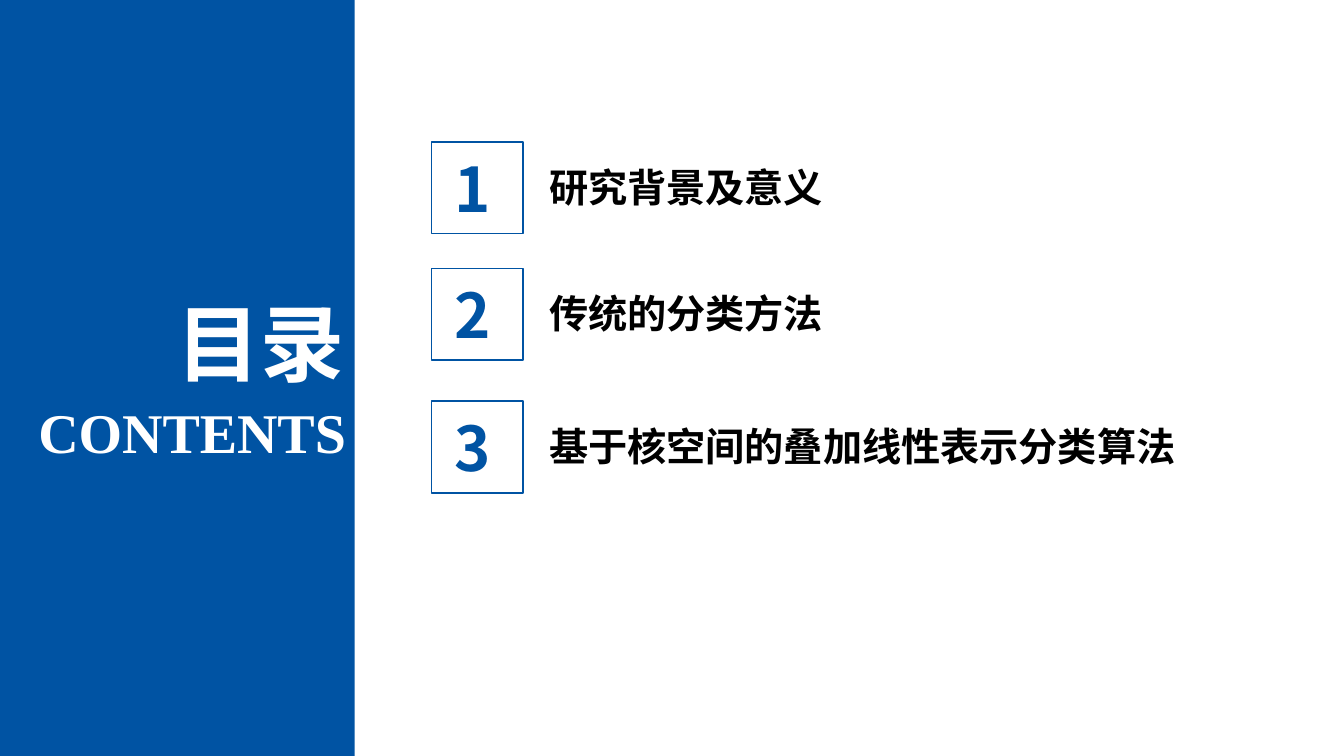
"""Builds a contents slide with a blue side panel and three numbered topics."""
from dataclasses import dataclass

from lxml import etree
from pptx import Presentation, util as u
from pptx.dml.color import RGBColor
from pptx.enum import shapes, text
from pptx.oxml import ns

TITLE = "目录"
SUBTITLE = "CONTENTS"
TOPICS = [
    ("1", "研究背景及意义", 3.58),
    ("2", "传统的分类方法", 6.76),
    ("3", "基于核空间的叠加线性表示分类算法", 10.11),
]


@dataclass(frozen=True)
class Theme:
    blue: RGBColor = RGBColor(0x00, 0x53, 0xA3)
    white: RGBColor = RGBColor(0xFF, 0xFF, 0xFF)
    black: RGBColor = RGBColor(0x00, 0x00, 0x00)
    sans: str = "Noto Sans CJK SC"
    serif: str = "Times New Roman"
    title: int = 60
    number: int = 44
    subtitle: int = 40
    topic: int = 28


THEME = Theme()
PAGE_WIDTH, PAGE_HEIGHT = 33.87, 19.05
PANEL_WIDTH = 8.94
SQUARE_LEFT, SQUARE_SIDE = 10.87, 2.31
NUMBER_LEFT, NUMBER_DROP = 10.77, 0.09
TOPIC_LEFT, TOPIC_DROP = 13.59, 0.41


def add_text(parent, words, place, size, color, align, font=THEME.sans):
    box = parent.shapes.add_textbox(*map(u.Cm, place))
    frame = box.text_frame
    frame.word_wrap = True
    frame.auto_size = text.MSO_AUTO_SIZE.SHAPE_TO_FIT_TEXT
    para = frame.paragraphs[0]
    para.alignment = align
    span = para.add_run()
    span.text = words
    span.font.name = font
    span.font.size = u.Pt(size)
    span.font.bold = True
    span.font.color.rgb = color
    etree.SubElement(span.font._element, ns.qn("a:ea"), typeface=font)


def add_rectangle(parent, place):
    box = parent.shapes.add_shape(shapes.MSO_SHAPE.RECTANGLE, *map(u.Cm, place))
    box.shadow.inherit = False
    return box


def add_panel(page):
    panel = add_rectangle(page, (0, 0, PANEL_WIDTH, PAGE_HEIGHT))
    panel.fill.solid()
    panel.fill.fore_color.rgb = THEME.blue
    panel.line.fill.background()
    right = text.PP_ALIGN.RIGHT
    add_text(page, TITLE, (2.49, 7.21, 6.45, 2.82), THEME.title, THEME.white, right)
    add_text(page, SUBTITLE, (0, 9.88, 8.97, 1.96), THEME.subtitle, THEME.white,
             right, THEME.serif)


def add_topic(page, number, topic, top):
    group = page.shapes.add_group_shape()
    add_text(group, topic, (TOPIC_LEFT, top + TOPIC_DROP, 18.4, 1.45),
             THEME.topic, THEME.black, text.PP_ALIGN.LEFT)
    add_text(group, number, (NUMBER_LEFT, top + NUMBER_DROP, SQUARE_SIDE, 2.13),
             THEME.number, THEME.blue, text.PP_ALIGN.CENTER)
    square = add_rectangle(group, (SQUARE_LEFT, top, SQUARE_SIDE, SQUARE_SIDE))
    square.fill.background()
    square.line.color.rgb = THEME.blue
    square.line.width = u.Pt(1)


def main():
    deck = Presentation()
    deck.slide_width, deck.slide_height = u.Cm(PAGE_WIDTH), u.Cm(PAGE_HEIGHT)
    page = deck.slides.add_slide(deck.slide_layouts[6])
    add_panel(page)
    for number, topic, top in TOPICS:
        add_topic(page, number, topic, top)
    deck.save("out.pptx")


if __name__ == "__main__":
    main()
